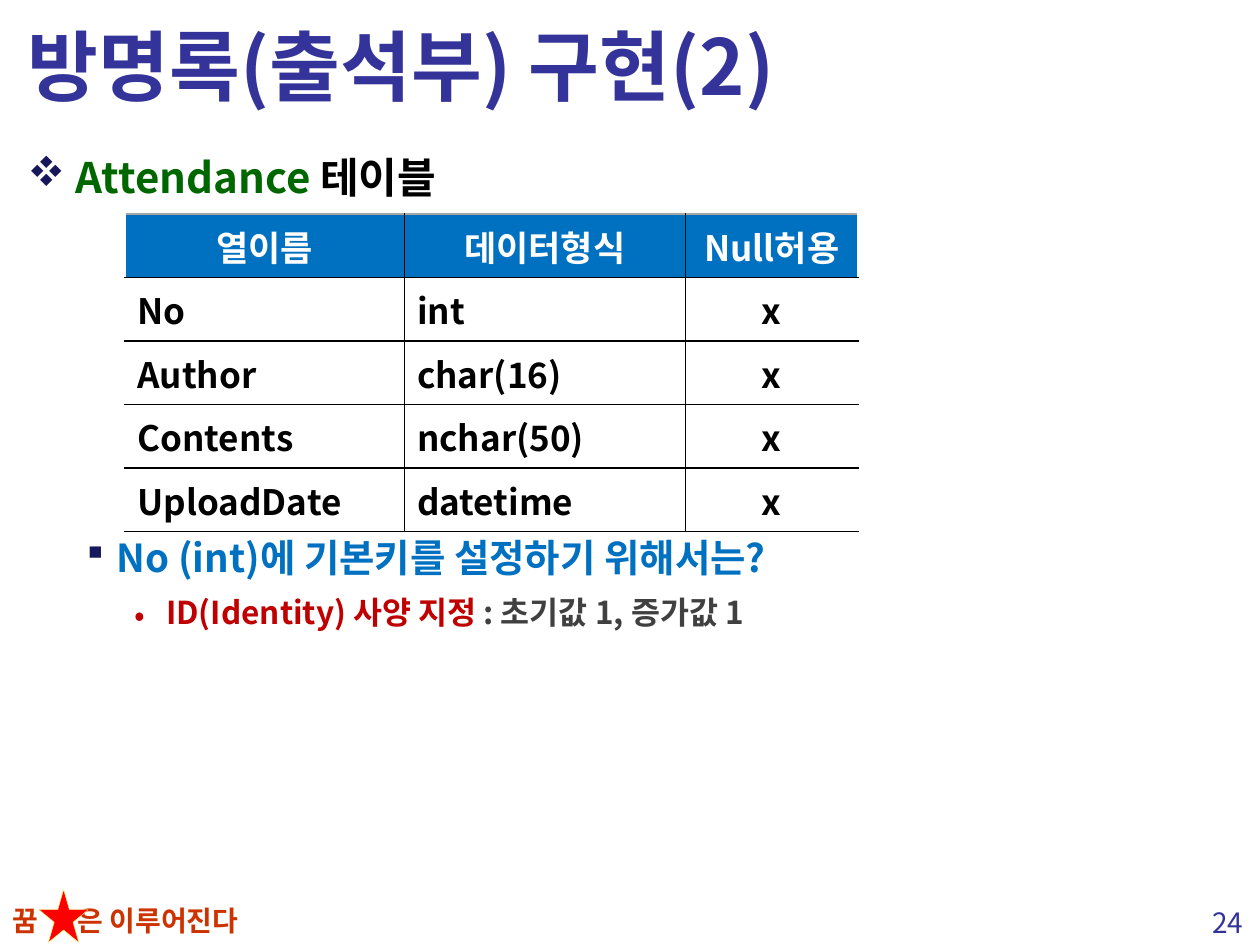
from lxml.etree import SubElement
from pptx import Presentation
from pptx.dml.color import RGBColor
from pptx.enum.shapes import MSO_SHAPE as Shape
from pptx.enum.text import MSO_ANCHOR as Anchor, MSO_AUTO_SIZE as AutoSize, PP_ALIGN as Align
from pptx.oxml.ns import qn
from pptx.util import Inches, Pt

FONT = "Noto Sans CJK KR"
COLORS = {
    "title": "333399", "motto": "CC3300", "star": "FF0000", "star_line": "FFFF66",
    "green": "006600", "blue": "0070C0", "red": "C00000", "gray": "404040",
    "bullet": "17175C", "black": "000000", "white": "FFFFFF", "header_top": "A6A6A6",
}
ROWS = [
    ("열이름", "데이터형식", "Null허용"),
    ("No", "int", "x"),
    ("Author", "char(16)", "x"),
    ("Contents", "nchar(50)", "x"),
    ("UploadDate", "datetime", "x"),
]
COLUMN_WIDTHS = (2.22, 2.23, 1.37)
LEVELS = [("v", "Wingdings", 0.38, 0.38), ("§", "Wingdings", 0.71, 0.24), ("•", FONT, 1.1, 0.25)]


def rgb(name):
    """Return the named colour."""
    return RGBColor.from_string(COLORS[name])


def style(span, size, color, bold=True):
    """Format a run for Latin and Korean text."""
    span.font.size = Pt(size)
    span.font.bold = bold
    span.font.color.rgb = rgb(color)
    span.font.name = FONT
    SubElement(span.font._element, qn("a:ea"), typeface=FONT)


def write(para, pieces, size, bold=True):
    """Add coloured runs to a paragraph."""
    for text, color in pieces:
        span = para.add_run()
        span.text = text
        style(span, size, color, bold)


def add_box(page, left, top, width, height):
    """Add a wrapping text box and return its text frame."""
    frame = page.shapes.add_textbox(*map(Inches, (left, top, width, height))).text_frame
    frame.word_wrap = True
    return frame


def add_bullet(para, level, pieces, size, bullet_color):
    """Write a bulleted paragraph with a hanging indent."""
    symbol, typeface, indent, hanging = LEVELS[level]
    para.level = level
    props = para._p.get_or_add_pPr()
    props.set("marL", str(Inches(indent)))
    props.set("indent", str(-Inches(hanging)))
    color = SubElement(props, qn("a:buClr"))
    SubElement(color, qn("a:srgbClr"), val=COLORS[bullet_color])
    SubElement(props, qn("a:buFont"), typeface=typeface)
    SubElement(props, qn("a:buChar"), char=symbol)
    write(para, pieces, size)


def add_title(page, text):
    """Place and format the title placeholder."""
    title = page.shapes.title
    title.left, title.top, title.width, title.height = map(Inches, (0.12, 0.07, 9.76, 0.88))
    frame = title.text_frame
    frame.auto_size = AutoSize.NONE
    frame.vertical_anchor = Anchor.MIDDLE
    frame.text = text
    para = frame.paragraphs[0]
    para.alignment = Align.LEFT
    style(para.runs[0], 44, "title")


def set_borders(cell, **sides):
    """Draw one-point borders in the named colours."""
    props = cell._tc.get_or_add_tcPr()
    for index, side in enumerate(("L", "R", "T", "B")):
        line = props.makeelement(qn(f"a:ln{side}"), {"w": str(Pt(1))})
        fill = SubElement(line, qn("a:solidFill"))
        SubElement(fill, qn("a:srgbClr"), val=COLORS[sides.get(side, "black")])
        props.insert(index, line)


def add_column_table(page):
    """Add the table that lists the database columns."""
    size = map(Inches, (0.99, 1.7, sum(COLUMN_WIDTHS), 2.52))
    table = page.shapes.add_table(len(ROWS), len(COLUMN_WIDTHS), *size).table
    table.first_row = table.horz_banding = False
    last = len(COLUMN_WIDTHS) - 1
    for column, width in zip(table.columns, COLUMN_WIDTHS):
        column.width = Inches(width)
    for r, texts in enumerate(ROWS):
        header = r == 0
        for c, text in enumerate(texts):
            cell = table.cell(r, c)
            cell.fill.solid()
            cell.fill.fore_color.rgb = rgb("blue" if header else "white")
            set_borders(
                cell,
                L="white" if c == 0 else "black",
                R="white" if c == last else "black",
                T="header_top" if header else "black",
            )
            para = cell.text_frame.paragraphs[0]
            para.alignment = Align.CENTER if header or c == last else Align.LEFT
            write(para, [(text, "white" if header else "black")], 20)


def add_body(page):
    """Add the heading above the table and the notes below it."""
    heading = add_box(page, 0.12, 1.15, 9.79, 0.55).paragraphs[0]
    add_bullet(heading, 0, [("Attendance ", "green"), ("테이블", "black")], 24, "bullet")
    notes = add_box(page, 0.12, 4.19, 9.79, 1)
    add_bullet(notes.paragraphs[0], 1, [("No (int)에 기본키를 설정하기 위해서는?", "blue")], 22, "bullet")
    detail = notes.add_paragraph()
    detail.space_before = Pt(7.5)
    pieces = [("ID(Identity) 사양 지정 ", "red"), (": 초기값 1, 증가값 1", "gray")]
    add_bullet(detail, 2, pieces, 18, "red")


def add_footer(page):
    """Add the motto with its star and the page number."""
    motto = add_box(page, 0, 7.12, 2.48, 0.37).paragraphs[0]
    tabs = SubElement(motto._p.get_or_add_pPr(), qn("a:tabLst"))
    SubElement(tabs, qn("a:tab"), pos=str(Inches(0.52)), algn="l")
    write(motto, [("꿈\t은 이루어진다", "motto")], 16)

    star = page.shapes.add_shape(Shape.STAR_5_POINT, *map(Inches, (0.31, 7.06, 0.39, 0.42)))
    star.shadow.inherit = False
    star.fill.solid()
    star.fill.fore_color.rgb = rgb("star")
    star.line.color.rgb = rgb("star_line")
    star.line.width = Pt(0.25)

    number = add_box(page, 9.49, 7.14, 0.51, 0.37)
    number.word_wrap = False
    number.paragraphs[0].alignment = Align.CENTER
    write(number.paragraphs[0], [("24", "title")], 16, bold=False)


def main():
    """Build the slide and save it."""
    deck = Presentation()
    deck.slide_width, deck.slide_height = Inches(10), Inches(7.5)
    page = deck.slides.add_slide(deck.slide_layouts[5])
    add_footer(page)
    add_title(page, "방명록(출석부) 구현(2)")
    add_body(page)
    add_column_table(page)
    deck.save("out.pptx")


if __name__ == "__main__":
    main()
